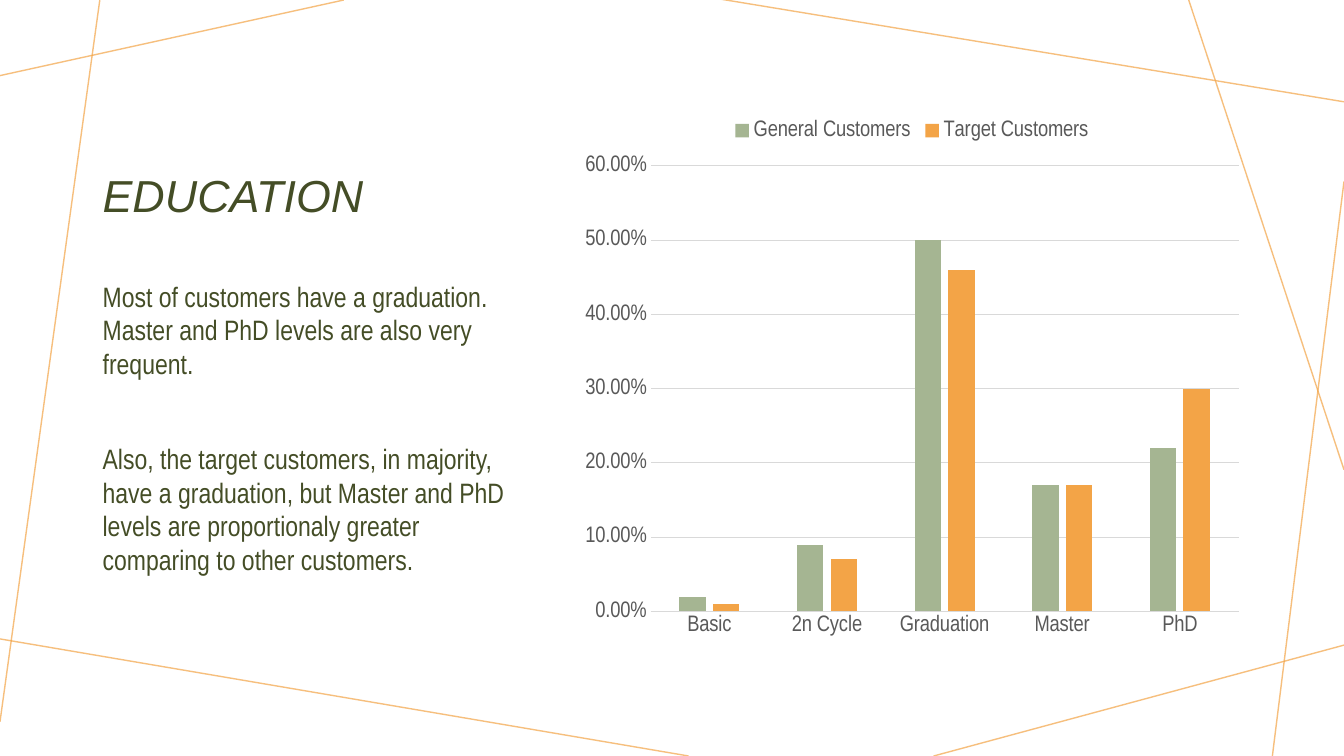
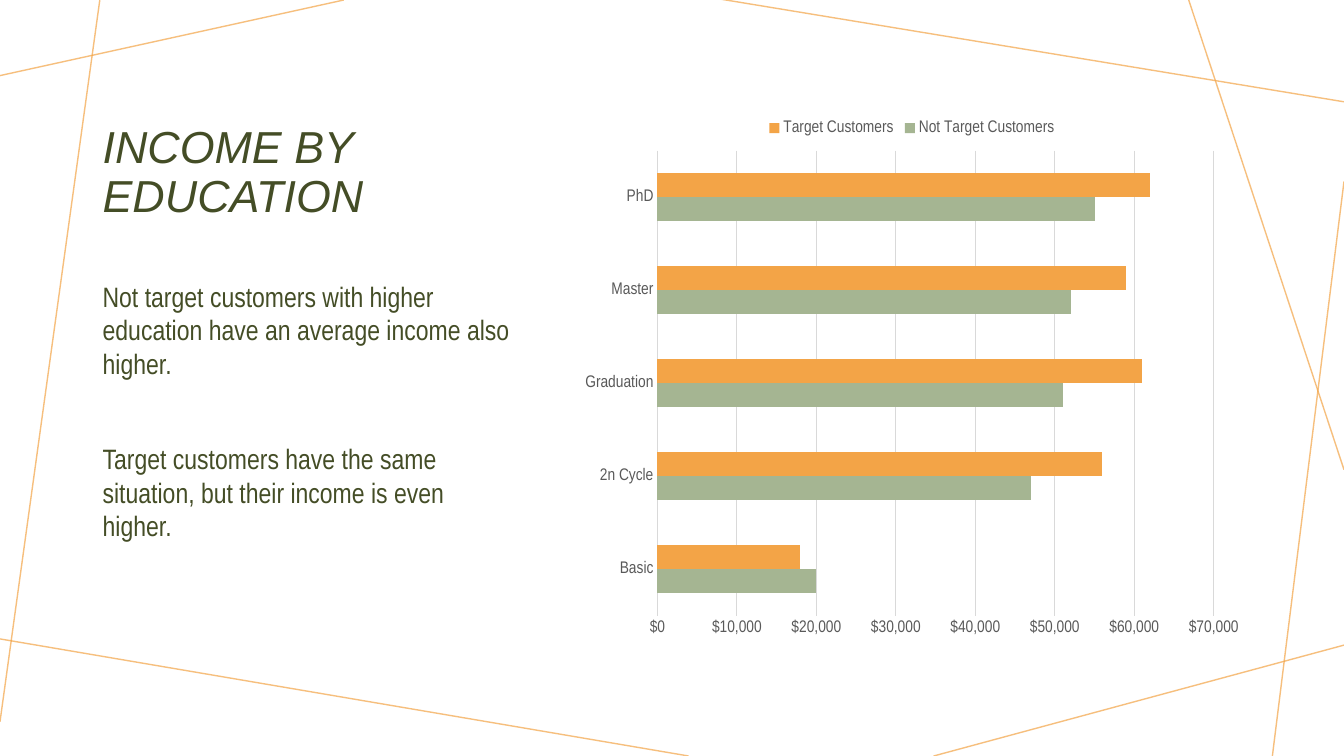
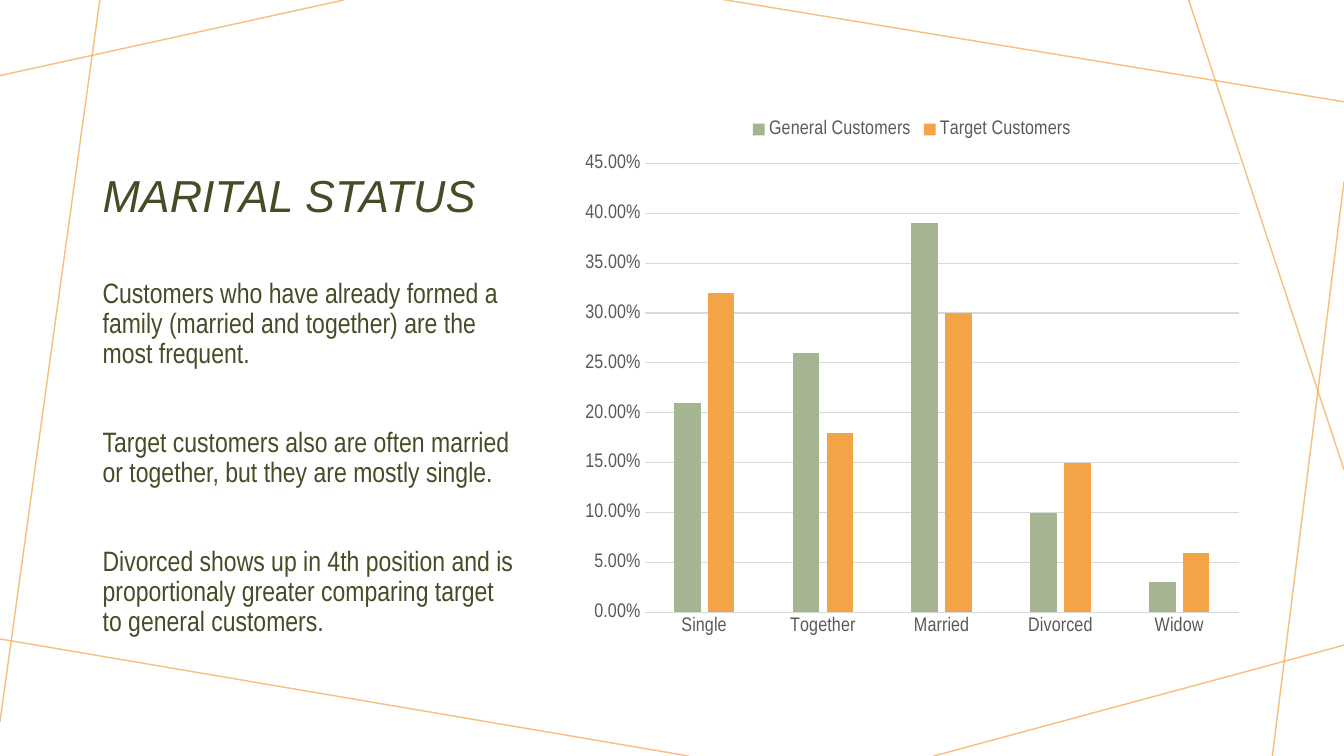
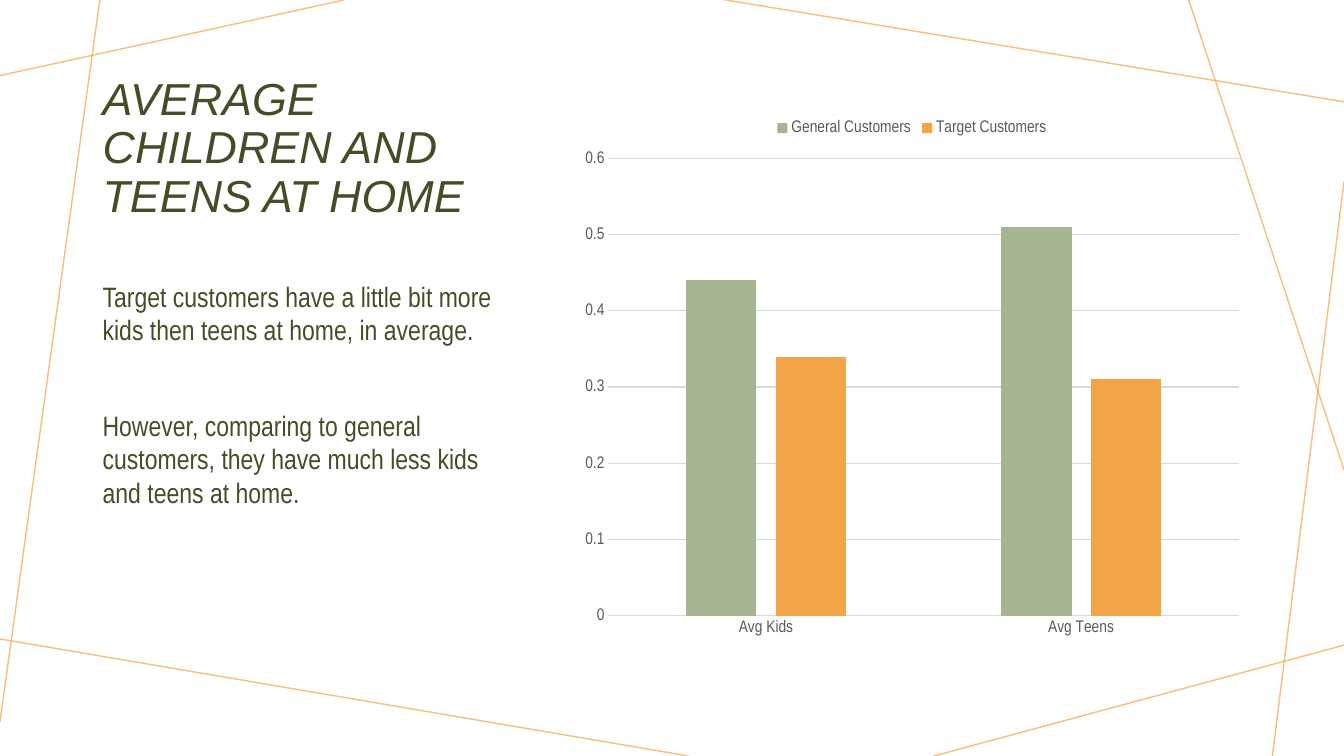
"""Four customer profile slides, each with a title, notes on the left and a chart."""
from pptx import Presentation
from pptx.chart.data import CategoryChartData
from pptx.dml.color import RGBColor
from pptx.enum.chart import XL_CHART_TYPE, XL_LEGEND_POSITION, XL_TICK_MARK
from pptx.enum.shapes import MSO_CONNECTOR
from pptx.enum.text import MSO_ANCHOR
from pptx.oxml.ns import qn
from pptx.util import Inches, Pt
from lxml.etree import SubElement

COLORS = {
    "text": "444D26",
    "green": "A5B592",
    "orange": "F3A447",
    "label": "595959",
    "grid": "D9D9D9",
}
RAYS = [
    (3.41, 0, 0, 0.75),
    (0.99, 0, 0, 7.16),
    (6.83, 7.5, -0.05, 6.33),
    (13.33, 6.4, 9.26, 7.5),
    (13.33, 1.8, 12.62, 7.5),
    (13.33, 4.66, 11.79, 0),
    (13.33, 1.01, 7.14, -0.01),
]
COLUMN = XL_CHART_TYPE.COLUMN_CLUSTERED
BAR = XL_CHART_TYPE.BAR_CLUSTERED
LEVELS = ["Basic", "2n Cycle", "Graduation", "Master", "PhD"]
GENERAL, TARGET = "General Customers", "Target Customers"

PAGES = [
    {
        "title": "EDUCATION",
        "notes": [
            "Most of customers have a graduation. Master and PhD levels are also very frequent.",
            "Also, the target customers, in majority, have a graduation, but Master and PhD "
            "levels are proportionaly greater comparing to other customers.",
        ],
        "leading": 1, "kind": COLUMN, "size": 16, "format": "0.00%",
        "gap": 219, "overlap": -27, "top": 0.6, "step": 0.1, "cats": LEVELS,
        "series": [
            (GENERAL, [0.02, 0.09, 0.5, 0.17, 0.22], "green"),
            (TARGET, [0.01, 0.07, 0.46, 0.17, 0.3], "orange"),
        ],
    },
    {
        "title": "INCOME BY EDUCATION",
        "notes": [
            "Not target customers with higher education have an average income also higher.",
            "Target customers have the same situation, but their income is even higher.",
        ],
        "leading": 1, "kind": BAR, "size": 12, "format": "[$$-409]#,##0",
        "gap": 182, "overlap": 0, "top": 70000, "step": 10000, "cats": LEVELS,
        "series": [
            ("Not Target Customers", [20000, 47000, 51000, 52000, 55000], "green"),
            (TARGET, [18000, 56000, 61000, 59000, 62000], "orange"),
        ],
    },
    {
        "title": "MARITAL STATUS",
        "notes": [
            "Customers who have already formed a family (married and together) are the most frequent.",
            "Target customers also are often married or together, but they are mostly single.",
            "Divorced shows up in 4th position and is proportionaly greater comparing target "
            "to general customers.",
        ],
        "leading": 0.9, "kind": COLUMN, "size": 14, "format": "0.00%",
        "gap": 219, "overlap": -27, "top": 0.45, "step": 0.05,
        "cats": ["Single", "Together", "Married", "Divorced", "Widow"],
        "series": [
            (GENERAL, [0.21, 0.26, 0.39, 0.1, 0.03], "green"),
            (TARGET, [0.32, 0.18, 0.3, 0.15, 0.06], "orange"),
        ],
    },
    {
        "title": "AVERAGE CHILDREN AND TEENS AT HOME",
        "notes": [
            "Target customers have a little bit more kids then teens at home, in average.",
            "However, comparing to general customers, they have much less kids and teens at home.",
        ],
        "leading": 1, "kind": COLUMN, "size": 12, "format": "General",
        "gap": 219, "overlap": -27, "top": 0.6, "step": 0.1,
        "cats": ["Avg Kids", "Avg Teens"],
        "series": [
            (GENERAL, [0.44, 0.51], "green"),
            (TARGET, [0.34, 0.31], "orange"),
        ],
    },
]


def style(font, name, size, color):
    font.name, font.size = name, Pt(size)
    font.color.rgb = RGBColor.from_string(COLORS[color])


def stroke(line, color, width):
    line.color.rgb = RGBColor.from_string(COLORS[color])
    line.width = Pt(width)


deck = Presentation()
deck.slide_width, deck.slide_height = Inches(13.33), Inches(7.5)

for page in PAGES:
    slide = deck.slides.add_slide(deck.slide_layouts[6])
    shapes = slide.shapes

    for ends in RAYS:
        ray = shapes.add_connector(MSO_CONNECTOR.STRAIGHT, *[Inches(v) for v in ends])
        stroke(ray.line, "orange", 1)
        props = ray._element.spPr
        tint = next(props.iter(qn("a:srgbClr")))
        SubElement(tint, qn("a:alpha"), val="70000")
        SubElement(props, qn("a:effectLst"))

    frame = shapes.add_textbox(Inches(0.92), Inches(0.5), Inches(4.3), Inches(1.75)).text_frame
    frame.word_wrap = True
    frame.vertical_anchor = MSO_ANCHOR.BOTTOM
    para = frame.paragraphs[0]
    para.line_spacing = 0.9
    run = para.add_run()
    run.text = page["title"]
    style(run.font, "Arial", 32, "text")
    run.font.italic = True

    frame = shapes.add_textbox(Inches(0.92), Inches(2.25), Inches(4.3), Inches(4.17)).text_frame
    frame.word_wrap = True
    frame.margin_top = Inches(0.52)
    for i, note in enumerate(page["notes"]):
        para = frame.add_paragraph() if i else frame.paragraphs[0]
        para.line_spacing = page["leading"]
        para.space_before = Pt(24 * page["leading"] + 20 if i else 0)
        run = para.add_run()
        run.text = note
        style(run.font, "Arial Narrow", 20, "text")

    data = CategoryChartData(number_format=page["format"])
    data.categories = page["cats"]
    for name, vals, color in page["series"]:
        data.add_series(name, vals)
    chart = shapes.add_chart(
        page["kind"], Inches(5.67), Inches(1.08), Inches(6.75), Inches(5.33), data
    ).chart
    chart.has_title = False
    style(chart.font, "Arial Narrow", page["size"], "label")
    chart.has_legend = True
    chart.legend.position = XL_LEGEND_POSITION.TOP
    chart.legend.include_in_layout = False
    style(chart.legend.font, "Arial Narrow", page["size"], "label")

    plot = chart.plots[0]
    plot.vary_by_categories = False
    plot.gap_width, plot.overlap = page["gap"], page["overlap"]
    for item, (name, vals, color) in zip(plot.series, page["series"]):
        item.format.fill.solid()
        item.format.fill.fore_color.rgb = RGBColor.from_string(COLORS[color])
        item.invert_if_negative = False

    for axis in (chart.category_axis, chart.value_axis):
        axis.major_tick_mark = axis.minor_tick_mark = XL_TICK_MARK.NONE
        style(axis.tick_labels.font, "Arial Narrow", page["size"], "label")
    stroke(chart.category_axis.format.line, "grid", 0.75)
    scale = chart.value_axis
    scale.minimum_scale, scale.maximum_scale = 0, page["top"]
    scale.major_unit = page["step"]
    scale.format.line.fill.background()
    scale.has_major_gridlines = True
    stroke(scale.major_gridlines.format.line, "grid", 0.75)
    scale.tick_labels.number_format = page["format"]
    scale.tick_labels.number_format_is_linked = False

deck.save("out.pptx")
